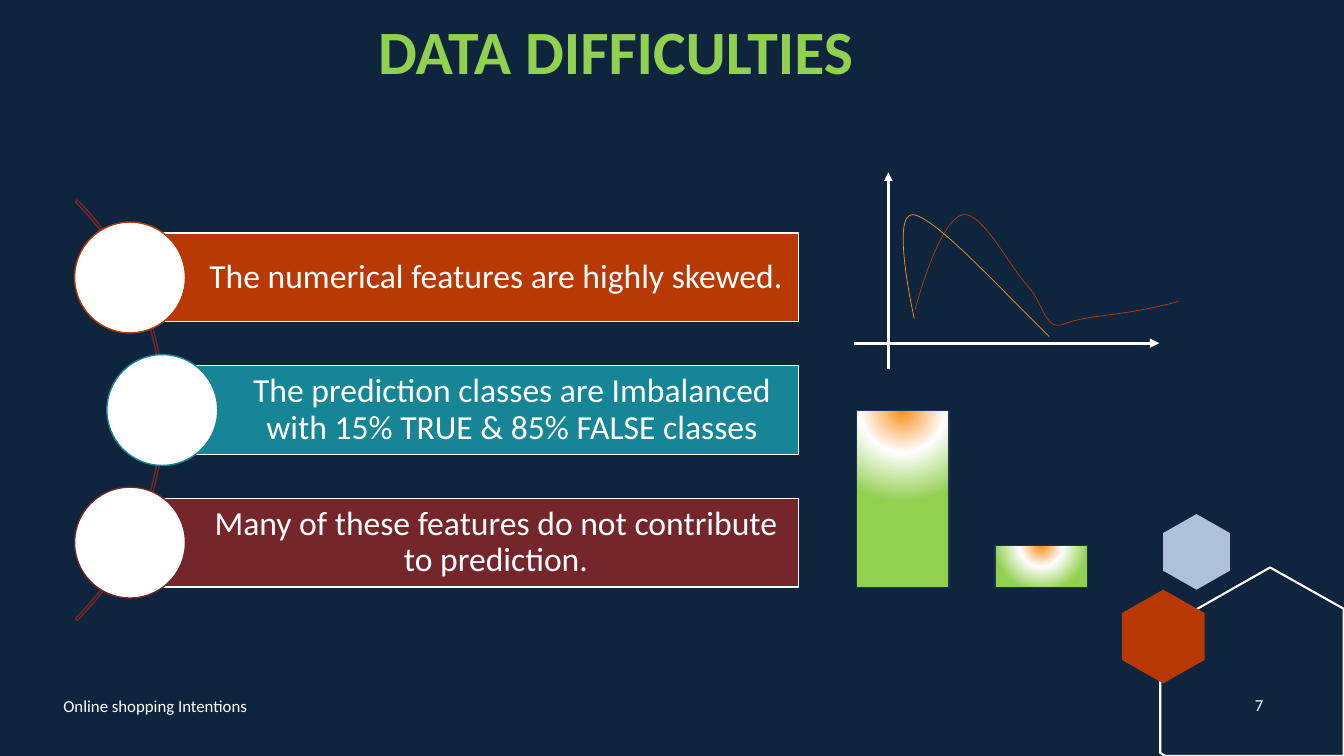
from lxml.etree import SubElement
from pptx import Presentation
from pptx.dml.color import RGBColor
from pptx.enum.shapes import MSO_CONNECTOR as CONN, MSO_SHAPE as SHAPE
from pptx.enum.text import MSO_ANCHOR as ANCHOR, MSO_AUTO_SIZE as AUTO, PP_ALIGN as ALIGN
from pptx.oxml import parse_xml
from pptx.oxml.ns import nsdecls, qn
from pptx.util import Inches, Pt

WHITE, NAVY, LIME = "FFFFFF", "0F253E", "92D050"
RUST, TEAL, WINE, ORANGE = "B83903", "168595", "75262A", "F79320"
COLS, ROWS = 133.33, 75
BAR_STOPS = ((1, ORANGE), (42, WHITE), (92, LIME))
CARDS = (
    (0, RUST, "The numerical features are highly skewed."),
    (3.2, TEAL, "The prediction classes are Imbalanced with 15% TRUE & 85% FALSE classes"),
    (0, WINE, "Many of these features do not contribute to prediction."),
)
RIGHT_CURVE = ((90.8, 30.7), (91.8, 26.9), (93.7, 21.7), (95.5, 21.3),
               (97.4, 20.9), (100.2, 26.5), (101.9, 28.3),
               (103.6, 30.1), (103.6, 33), (105.7, 32.1),
               (107.9, 31.2), (111.6, 31.4), (116.9, 29.9))
LEFT_CURVE = ((104.1, 33.4), (98.8, 28.2), (92.8, 21.6), (90.6, 21.3),
              (88.3, 21), (90.7, 31.6), (90.7, 31.6))


def rgb(value):
    """Turn a hex string into a colour."""
    return RGBColor.from_string(value)


def hexagon(x, y, w, h):
    """Return the corners of an upright hexagon in a box."""
    shares = ((0.5, 0), (1, 0.25), (1, 0.75), (0.5, 1), (0, 0.75), (0, 0.25))
    return [(x + w * a, y + h * b) for a, b in shares]


def write(tf, text, size=12, color=WHITE, bold=False, align=ALIGN.CENTER,
          anchor=ANCHOR.MIDDLE, spacing=None, font="Calibri"):
    """Put one formatted paragraph in a text frame."""
    tf.word_wrap, tf.auto_size, tf.vertical_anchor = True, AUTO.NONE, anchor
    p = tf.paragraphs[0]
    p.alignment, p.line_spacing = align, spacing
    r = p.add_run()
    r.text = text
    r.font.name, r.font.size, r.font.bold = font, Pt(size), bold
    r.font.color.rgb = rgb(color)


class Deck:
    """Hold the grid, the style and the current slide."""

    def __init__(self):
        """Open a presentation with one title-only slide."""
        self.prs = Presentation()
        self.prs.slide_width, self.prs.slide_height = Inches(13.33), Inches(7.5)
        self.s = self.prs.slides.add_slide(self.prs.slide_layouts[5])
        self.s.background.fill.solid()
        self.s.background.fill.fore_color.rgb = rgb(NAVY)

    def at(self, *lengths):
        """Convert alternating columns and rows to slide units."""
        units = (self.prs.slide_width / COLS, self.prs.slide_height / ROWS)
        return [round(v * units[i % 2]) for i, v in enumerate(lengths)]

    def paint(self, sp, fill=None, line=None, width=1):
        """Set the fill and line of a shape."""
        sp.shadow.inherit = False
        for part, color in ((sp.fill, fill), (sp.line.fill, line)):
            if color:
                part.solid()
                part.fore_color.rgb = rgb(color)
            else:
                part.background()
        if line:
            sp.line.width = Pt(width)
        return sp

    def title(self, text, box, **fmt):
        """Place and fill the title."""
        sp = self.s.shapes.title
        sp.left, sp.top, sp.width, sp.height = self.at(*box)
        write(sp.text_frame, text, **fmt)

    def text(self, text, box, **fmt):
        """Add a text box."""
        sp = self.s.shapes.add_textbox(*self.at(*box))
        write(sp.text_frame, text, **fmt)

    def shape(self, kind, box, **style):
        """Add a preset shape."""
        return self.paint(self.s.shapes.add_shape(kind, *self.at(*box)), **style)

    def outline(self, points, close=True, **style):
        """Add a freeform through the points."""
        start, *rest = [self.at(*p) for p in points]
        fb = self.s.shapes.build_freeform(*start)
        fb.add_line_segments(rest, close=close)
        return self.paint(fb.convert_to_shape(), **style)

    def curve(self, points, **style):
        """Add an open chain of cubic curves."""
        sp = self.outline(points, close=False, **style)
        segments = list(sp._element.spPr.iter(qn("a:lnTo")))
        for i in range(0, len(segments), 3):
            first, *others = segments[i:i + 3]
            cubic = parse_xml(f'<a:cubicBezTo {nsdecls("a")}/>')
            first.addprevious(cubic)
            for segment in (first, *others):
                cubic.append(segment[0])
                segment.getparent().remove(segment)

    def arrow(self, start, end, width):
        """Add a white axis arrow."""
        sp = self.s.shapes.add_connector(CONN.STRAIGHT, *self.at(*start, *end))
        sp.line.color.rgb, sp.line.width = rgb(WHITE), Pt(width)
        SubElement(sp.line._get_or_add_ln(), qn("a:tailEnd"), type="triangle")
        SubElement(sp._element.spPr, qn("a:effectLst"))

    def card(self, x, y, color, text):
        """Add a labelled bar with a white disc at its left end."""
        sp = self.shape(SHAPE.RECTANGLE, (x + 5.5, y + 1.1, 73.7 - x, 8.8), fill=color, line=WHITE)
        tf = sp.text_frame
        tf.margin_left = Inches(0.7)
        tf.margin_top = tf.margin_right = tf.margin_bottom = Inches(0.07)
        write(tf, text, size=24, spacing=0.9)
        self.shape(SHAPE.OVAL, (x, y, 11, 11), fill=WHITE, line=color)

    def bar(self, x, height, base=58.3):
        """Add a bar with a radial gradient."""
        sp = self.shape(SHAPE.RECTANGLE, (x, base - height, 9.2, height), fill=LIME, line="1E3256")
        stops = "".join(f'<a:gs pos="{pos * 1000}"><a:srgbClr val="{color}"/></a:gs>'
                        for pos, color in BAR_STOPS)
        grad = parse_xml(f'<a:gradFill {nsdecls("a")} rotWithShape="1"><a:gsLst>{stops}</a:gsLst>'
                         '<a:path path="circle"><a:fillToRect l="50000" t="-80000" '
                         'r="50000" b="180000"/></a:path></a:gradFill>')
        spPr = sp._element.spPr
        spPr.replace(spPr.find(qn("a:solidFill")), grad)


def main():
    """Build the slide and save it."""
    d = Deck()
    d.outline(hexagon(115.4, 51, 6.6, 7.5), fill="AEC1D8")
    d.outline([(126, 56.3), (133.3, 60.4), (133.3, 75), (115.6, 75), (115.1, 74.7), (115.1, 62.5)],
              line=WHITE, width=1.5)
    d.outline(hexagon(111.3, 58.5, 8.2, 9.3), fill=RUST)
    d.title("DATA DIFFICULTIES", (1.55, 1.6, 119.1, 15.5), size=44, color=LIME, bold=True,
            anchor=ANCHOR.TOP, spacing=0.9)
    d.text("7", (122.4, 67.95, 5, 4))
    d.text("Online shopping Intentions", (5.3, 68, 45, 4), align=ALIGN.LEFT)

    arc = d.shape(SHAPE.BLOCK_ARC, (-42.7, 11.2, 59, 59), line=WINE)
    for i, value in enumerate((189, 27, 0.0044)):
        arc.adjustments[i] = value
    for i, (indent, color, text) in enumerate(CARDS):
        d.card(7.4 + indent, 22.03 + 13.15 * i, color, text)

    for x, height in ((84.95, 17.6), (98.7, 4.2)):
        d.bar(x, height)
    d.arrow((84.7, 34.05), (115, 34.05), 2.25)
    d.arrow((88.13, 36.6), (88.13, 17.1), 2)
    for points, color in ((RIGHT_CURVE, RUST), (LEFT_CURVE, ORANGE)):
        d.curve(points, line=color, width=0.5)
    d.prs.save("out.pptx")


if __name__ == "__main__":
    main()
